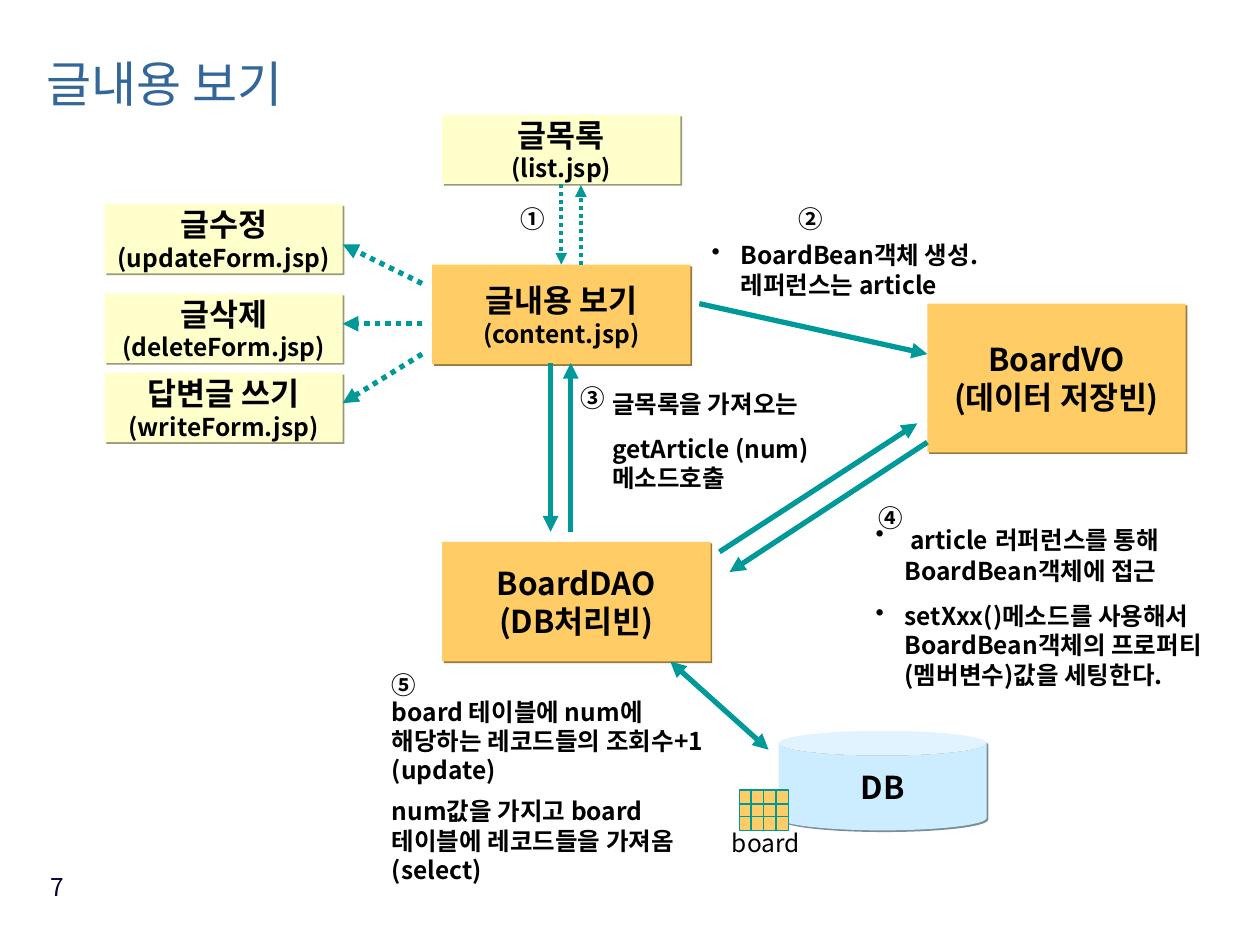
from lxml import etree
from pptx import Presentation
from pptx import util as u
from pptx.dml.color import RGBColor
from pptx.enum import dml, shapes, text
from pptx.oxml.ns import qn

PX = 9144  # one hundredth of an inch
FONT = "Noto Sans CJK KR"
INK, TEAL, BLUE, NAVY = "010000", "009999", "336699", "08003A"
CREAM, GOLD, SKY = "FFFFCC", "FFCC66", "CCECFF"
SHADE = {CREAM: "99997A", GOLD: "997A3D", SKY: "7A8E99"}
RECT, CAN = shapes.MSO_SHAPE.RECTANGLE, shapes.MSO_SHAPE.CAN
MID, TOP = text.MSO_ANCHOR.MIDDLE, text.MSO_ANCHOR.TOP
CENTER, RIGHT = text.PP_ALIGN.CENTER, text.PP_ALIGN.RIGHT


def rgb(code):
    return RGBColor.from_string(code)


def px(*nums):
    return [u.Emu(n * PX) for n in nums]


def sub(parent, tag, **attrs):
    return etree.SubElement(parent, qn(tag), attrs)


class Deck:
    def __init__(self):
        self.prs = Presentation()
        self.prs.slide_width, self.prs.slide_height = px(1000, 750)
        self.slide = self.prs.slides.add_slide(self.prs.slide_layouts[6])

    def run(self, para, words, size, bold, color):
        run = para.add_run()
        run.text = words
        font = run.font
        font.size, font.bold, font.name = u.Pt(size), bold, FONT
        font.color.rgb = rgb(color)
        sub(font._element, "a:ea", typeface=FONT)

    def fill(self, frame, paras, align=None, bullet=False, lead=None,
             bold=True, color=INK):
        """Each paragraph is a list of (words, size) runs."""
        for i, runs in enumerate(paras):
            para = frame.paragraphs[0] if i == 0 else frame.add_paragraph()
            if bullet:
                props = para._p.get_or_add_pPr()
                props.set("marL", str(23 * PX))
                props.set("indent", str(-23 * PX))
                sub(sub(props, "a:buClr"), "a:srgbClr", val=INK)
                sub(props, "a:buChar", char="•")
            para.alignment = align
            para.line_spacing = lead or u.Pt(runs[0][1] * 1.2)
            if i and align is None:
                para.space_before = u.Pt(8.8)
            for words, size in runs:
                self.run(para, words, size, bold, color)

    def note(self, box, paras, inset=(10, 5), anchor=TOP, **style):
        frame = self.slide.shapes.add_textbox(*px(*box)).text_frame
        frame.word_wrap = True
        frame.vertical_anchor = anchor
        side, edge = px(*inset)
        frame.margin_left = frame.margin_right = side
        frame.margin_top = frame.margin_bottom = edge
        self.fill(frame, paras, **style)

    def mark(self, x, y, sign):
        self.note((x, y, 24, 23), [[(sign, 14)]], inset=(0, 0))

    def block(self, box, color, lines, kind=RECT):
        shape = self.slide.shapes.add_shape(kind, *px(*box))
        shape.fill.solid()
        shape.fill.fore_color.rgb = rgb(color)
        shape.line.fill.background()
        shape.shadow.inherit = False
        effect = shape._element.spPr.find(qn("a:effectLst"))
        shadow = sub(effect, "a:outerShdw", dist=str(u.Pt(1.4)),
                     dir="2700000", algn="ctr", rotWithShape="0")
        sub(shadow, "a:srgbClr", val=SHADE[color])
        frame = shape.text_frame
        frame.word_wrap = False
        frame.vertical_anchor = MID
        self.fill(frame, [[line] for line in lines], align=CENTER)
        return shape

    def cell(self, box):
        shape = self.slide.shapes.add_shape(RECT, *px(*box))
        shape.shadow.inherit = False
        shape.fill.solid()
        shape.fill.fore_color.rgb = rgb(GOLD)
        shape.line.color.rgb = rgb(TEAL)
        shape.line.width = u.Pt(0.75)

    def arrow(self, ends, width=3, dots=False, both=False):
        link = self.slide.shapes.add_connector(
            shapes.MSO_CONNECTOR.STRAIGHT, *px(*ends))
        link.line.color.rgb = rgb(TEAL)
        link.line.width = u.Pt(width)
        if dots:
            link.line.dash_style = dml.MSO_LINE.ROUND_DOT
        line = link.line._get_or_add_ln()
        if both:
            sub(line, "a:headEnd", type="triangle")
        sub(line, "a:tailEnd", type="triangle")
        sub(link._element.spPr, "a:effectLst")
        return link


def main():
    deck = Deck()

    # Title and page number
    deck.note((27, 17, 324, 109), [[("글내용 보기", 28)]], anchor=MID,
              lead=0.7, bold=False, color=BLUE)
    deck.note((14, 687, 47, 52), [[("7", 14)]], align=RIGHT,
              bold=False, color=NAVY)

    # Pages
    pages = [
        (351, 91, "글목록", "(list.jsp)"),
        (83, 162, "글수정", "(updateForm.jsp)"),
        (83, 233, "글삭제", "(deleteForm.jsp)"),
        (83, 296, "답변글 쓰기", "(writeForm.jsp)"),
    ]
    views = [deck.block((x, y, 189, 55), CREAM, [(name, 18), (file, 14)])
             for x, y, name, file in pages]
    core = deck.block((343, 210, 205, 79), GOLD,
                      [("글내용 보기", 18), ("(content.jsp)", 14)])

    # Beans and database
    deck.block((736, 241, 205, 118), GOLD,
               [("BoardVO", 18), ("(데이터 저장빈)", 18)])
    deck.block((351, 430, 213, 95), GOLD,
               [("BoardDAO", 18), ("(DB처리빈)", 18)])
    deck.block((618, 580, 165, 79), SKY, [("DB", 18)], CAN)

    # Small board table
    for row in range(3):
        for col in range(4):
            deck.cell((587 + col * 29 // 3, 627 + (row * 21 + 1) // 2, 10, 11))
    deck.note((571, 652, 102, 34), [[("board", 14)]], bold=False)

    # Dotted arrows between pages
    link = deck.arrow((445, 146, 445, 210), 2.25, dots=True)
    link.begin_connect(views[0], 2)
    link.end_connect(core, 0)
    deck.arrow((461, 210, 461, 147), 2.25, dots=True)
    for start, end in ((225, 194), (257, 257), (281, 320)):
        deck.arrow((335, start, 272, end), dots=True)

    # Solid arrows between beans
    for ends in ((437, 288, 437, 422), (453, 422, 453, 288),
                 (555, 241, 736, 281), (571, 438, 728, 336),
                 (736, 351, 579, 454)):
        deck.arrow(ends)
    deck.arrow((532, 525, 610, 595), both=True)

    # Step numbers
    for x, y, sign in ((413, 162, "①"), (634, 162, "②"), (461, 304, "③"),
                       (697, 399, "④"), (311, 532, "⑤")):
        deck.mark(x, y, sign)

    # Step notes
    deck.note((555, 186, 252, 57),
              [[("BoardBean객체 생성. 레퍼런스는 article", 14)]], bullet=True)
    deck.note((476, 304, 220, 92),
              [[("글목록을 가져오는", 14)],
               [("getArticle (num)메소드호출", 14)]])
    deck.note((695, 413, 260, 146),
              [[(" article", 14), (" ", 18),
                ("러퍼런스를 통해 BoardBean객체에 접근", 14)],
               [("setXxx()메소드를 사용해서 BoardBean객체의 "
                 "프로퍼티(멤버변수)값을 세팅한다.", 14)]],
              inset=(0, 5), bullet=True)
    for y, words in (
            (548, "board 테이블에 num에 해당하는 레코드들의 조회수+1 (update)"),
            (627, "num값을 가지고 board 테이블에 레코드들을 가져옴(select)")):
        deck.note((311, y, 260, 80), [[(words, 14)]], inset=(0, 5))

    deck.prs.save("out.pptx")


if __name__ == "__main__":
    main()
